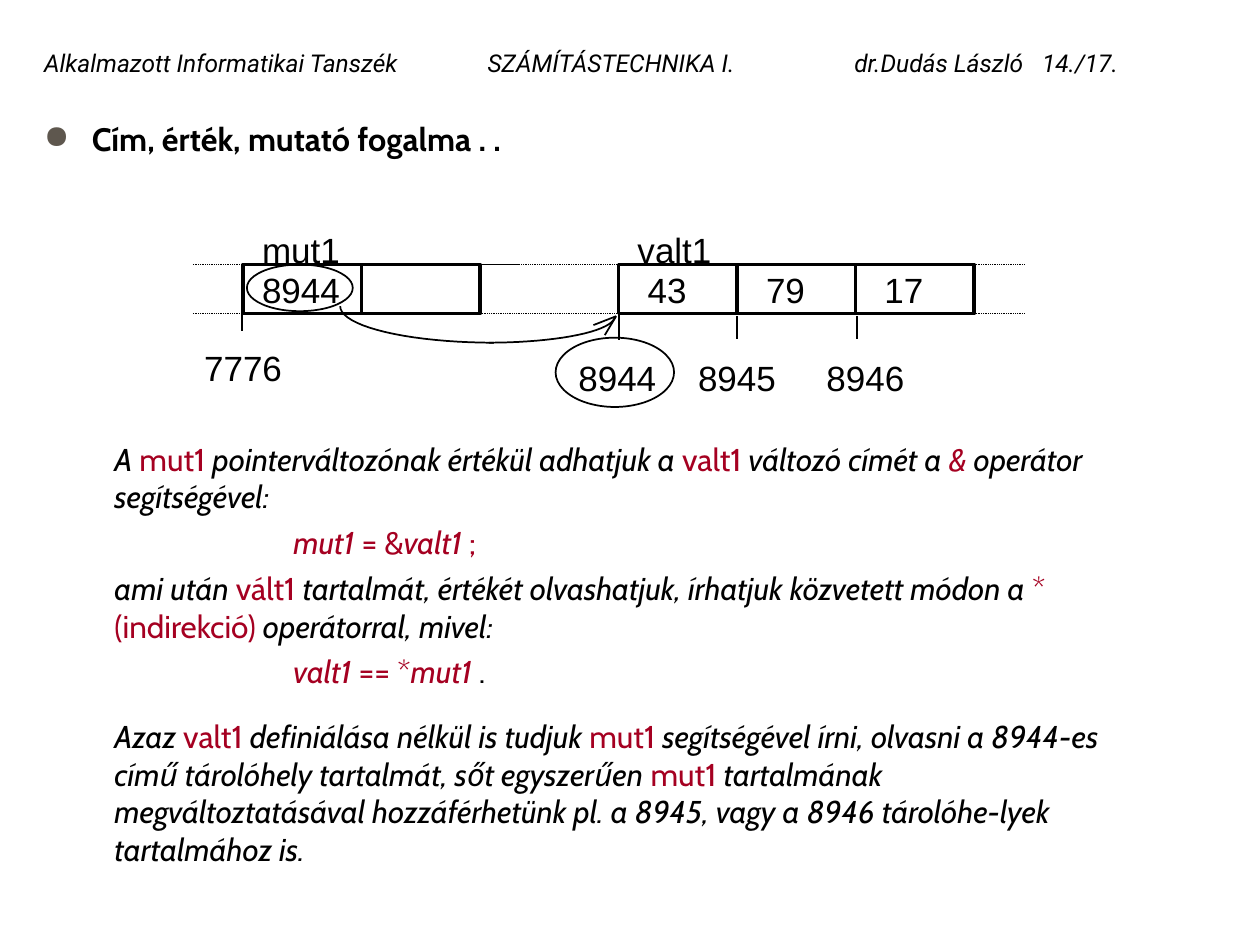
import math

from lxml import etree
from pptx import Presentation
from pptx.dml.color import RGBColor
from pptx.enum.dml import MSO_LINE
from pptx.enum.shapes import MSO_CONNECTOR, MSO_SHAPE
from pptx.enum.text import MSO_ANCHOR, MSO_AUTO_SIZE, PP_ALIGN
from pptx.oxml.ns import qn
from pptx.util import Inches, Pt

BLACK = RGBColor(0x00, 0x00, 0x00)
WHITE = RGBColor(0xFF, 0xFF, 0xFF)
RED = RGBColor(0xA5, 0x00, 0x21)
STRAIGHT = MSO_CONNECTOR.STRAIGHT
RECTANGLE = MSO_SHAPE.RECTANGLE
OVAL = MSO_SHAPE.OVAL
DOTTED = MSO_LINE.ROUND_DOT
LEFT = PP_ALIGN.LEFT
TOP = MSO_ANCHOR.TOP
MIDDLE = MSO_ANCHOR.MIDDLE
NO_AUTOFIT = MSO_AUTO_SIZE.NONE

CELL_WIDTH = 0.94
CELL_TOP = 2.1
CELL_HEIGHT = 0.39
CELL_BOTTOM = CELL_TOP + CELL_HEIGHT
POINTER_LEFT = 1.93
ARRAY_LEFT = 4.91
ARRAY_RIGHT = ARRAY_LEFT + 3 * CELL_WIDTH

presentation = Presentation()
presentation.slide_width = Inches(10)
presentation.slide_height = Inches(7.5)
slide = presentation.slides.add_slide(presentation.slide_layouts[5])


def add_box(left, top, height, text, indent, line_width=None):
    box = slide.shapes.add_shape(RECTANGLE, Inches(left), Inches(top),
                                 Inches(CELL_WIDTH), Inches(height))
    box.shadow.inherit = False
    box.fill.solid()
    box.fill.fore_color.rgb = WHITE
    if line_width:
        box.line.color.rgb = BLACK
        box.line.width = Pt(line_width)
    else:
        box.line.fill.background()
    frame = box.text_frame
    frame.margin_left = Inches(indent)
    frame.margin_top = Inches(0.03)
    frame.margin_right = frame.margin_bottom = 0
    frame.vertical_anchor = TOP
    if text:
        frame.text = text
        paragraph = frame.paragraphs[0]
        paragraph.alignment = LEFT
        font = paragraph.runs[0].font
        font.name = "Arial"
        font.size = Pt(20)
        font.color.rgb = BLACK


title = slide.shapes.title
title.left, title.top = Inches(0.25), Inches(0.33)
title.width, title.height = Inches(9.5), Inches(0.33)
title_frame = title.text_frame
title_frame.auto_size = NO_AUTOFIT
title_frame.vertical_anchor = MIDDLE
title_frame.text = ("Alkalmazott Informatikai Tanszék\tSZÁMÍTÁSTECHNIKA I."
                    "\tdr.Dudás László\t14./17.")
paragraph = title_frame.paragraphs[0]
paragraph.alignment = LEFT
tab_list = etree.SubElement(paragraph._p.get_or_add_pPr(), qn("a:tabLst"))
for position in (3.52, 6.43, 7.92):
    etree.SubElement(tab_list, qn("a:tab"), pos=str(Inches(position)), algn="l")
for run in paragraph.runs:
    run.font.name = "Roboto"
    run.font.size = Pt(14)
    run.font.italic = True
    run.font.color.rgb = BLACK

heading = slide.shapes.add_textbox(Inches(0.25), Inches(0.9), Inches(8.08), Inches(0.42))
heading.text_frame.word_wrap = True
heading.text_frame.text = "Cím, érték, mutató fogalma . ."
paragraph = heading.text_frame.paragraphs[0]
properties = paragraph._p.get_or_add_pPr()
properties.set("marL", str(Inches(0.38)))
properties.set("indent", str(Inches(-0.38)))
bullet_color = etree.SubElement(properties, qn("a:buClr"))
etree.SubElement(bullet_color, qn("a:srgbClr"), val="5E574E")
etree.SubElement(properties, qn("a:buChar"), char="●")
font = paragraph.runs[0].font
font.name = "Cabin"
font.size = Pt(18.5)
font.bold = True
font.color.rgb = BLACK

for left, text in ((POINTER_LEFT, "mut1"), (ARRAY_LEFT, "valt1")):
    add_box(left, 1.78, 0.31, text, 0.15)
for index, text in enumerate(("8944", "")):
    add_box(POINTER_LEFT + index * CELL_WIDTH, CELL_TOP, CELL_HEIGHT, text, 0.15, 2)
for index, text in enumerate(("43", "79", "17")):
    add_box(ARRAY_LEFT + index * CELL_WIDTH, CELL_TOP, CELL_HEIGHT, text, 0.23, 2)
for left, top, text in ((1.62, 2.72, "7776"), (4.59, 2.8, "8944"),
                        (5.54, 2.8, "8945"), (6.56, 2.8, "8946")):
    add_box(left, top, 0.31, text, 0)

lines = [(3.73, CELL_TOP, 4.12, CELL_TOP, 1, None),
         (1.92, 2.48, 1.92, 2.63, 1, None),
         (ARRAY_LEFT, CELL_BOTTOM, ARRAY_LEFT, 2.7, 1, None),
         (5.85, 2.51, 5.85, 2.69, 1, None),
         (6.8, 2.51, 6.8, 2.69, 1, None),
         (4.89, 2.51, 4.71, 2.58, 1, None),
         (4.89, 2.51, 4.8, 2.66, 1, None)]
for y in (CELL_TOP, CELL_BOTTOM):
    for start, end in ((1.53, POINTER_LEFT), (3.81, ARRAY_LEFT), (ARRAY_RIGHT, 8.13)):
        lines.append((start, y, end, y, 0.5, DOTTED))
for start_x, start_y, end_x, end_y, width, dash in lines:
    connector = slide.shapes.add_connector(STRAIGHT, Inches(start_x), Inches(start_y),
                                           Inches(end_x), Inches(end_y))
    connector.line.color.rgb = BLACK
    connector.line.width = Pt(width)
    if dash:
        connector.line.dash_style = dash
    etree.SubElement(connector._element.spPr, qn("a:effectLst"))

outlines = []
for left, top, width, height in ((1.96, 2.1, 0.84, 0.37), (4.41, 2.68, 0.94, 0.55)):
    outlines.append(slide.shapes.add_shape(OVAL, Inches(left), Inches(top),
                                           Inches(width), Inches(height)))
for center_x, center_y, radius_x, radius_y in ((3.92, 2.43, -1.22, 0.29),
                                               (3.88, 2.51, 1, 0.21)):
    points = []
    for step in range(21):
        angle = step * math.pi / 40
        points.append((Inches(center_x + radius_x * math.sin(angle)),
                       Inches(center_y + radius_y * math.cos(angle))))
    builder = slide.shapes.build_freeform(*points[0])
    builder.add_line_segments(points[1:], close=False)
    outlines.append(builder.convert_to_shape())
for outline in outlines:
    outline.shadow.inherit = False
    outline.fill.background()
    outline.line.color.rgb = BLACK
    outline.line.width = Pt(1)

TEXT_INDENT = 0.81
CODE_INDENT = 2.23
explanations = [
    (3.44, [
        (TEXT_INDENT, [("A ", BLACK, True), ("mut1", RED, False),
                       (" pointerváltozónak értékül adhatjuk a ", BLACK, True),
                       ("valt1", RED, False), (" változó címét a ", BLACK, True),
                       ("&", RED, True), (" operátor segítségével:", BLACK, True)]),
        (CODE_INDENT, [("mut1", RED, True), (" = &", RED, False),
                       ("valt1 ", RED, True), (";", RED, False)]),
        (TEXT_INDENT, [("ami után ", BLACK, True), ("vált1", RED, False),
                       (" tartalmát, értékét olvashatjuk, írhatjuk közvetett módon a ",
                        BLACK, True),
                       ("* (indirekció)", RED, False),
                       (" operátorral, mivel:", BLACK, True)]),
        (CODE_INDENT, [("valt1", RED, True), (" == *", RED, False),
                       ("mut1", RED, True), (" .", BLACK, False)])]),
    (5.64, [
        (TEXT_INDENT, [("Azaz ", BLACK, True), ("valt1", RED, False),
                       (" definiálása nélkül is tudjuk ", BLACK, True),
                       ("mut1", RED, False),
                       (" segítségével írni, olvasni a 8944-es című tárolóhely "
                        "tartalmát, sőt egyszerűen ", BLACK, True),
                       ("mut1", RED, False),
                       (" tartalmának megváltoztatásával hozzáférhetünk pl. a 8945, "
                        "vagy a 8946 tárolóhe-lyek tartalmához is.", BLACK, True)])])]
for top, paragraphs in explanations:
    text_box = slide.shapes.add_textbox(0, Inches(top), Inches(8.82), Inches(0.42))
    frame = text_box.text_frame
    frame.word_wrap = True
    for index, (indent, pieces) in enumerate(paragraphs):
        paragraph = frame.add_paragraph() if index else frame.paragraphs[0]
        paragraph._p.get_or_add_pPr().set("marL", str(Inches(indent)))
        if index:
            paragraph.space_before = Pt(4.5)
        for text, color, italic in pieces:
            run = paragraph.add_run()
            run.text = text
            run.font.name = "Cabin"
            run.font.size = Pt(18)
            run.font.italic = italic
            run.font.color.rgb = color

presentation.save("out.pptx")
